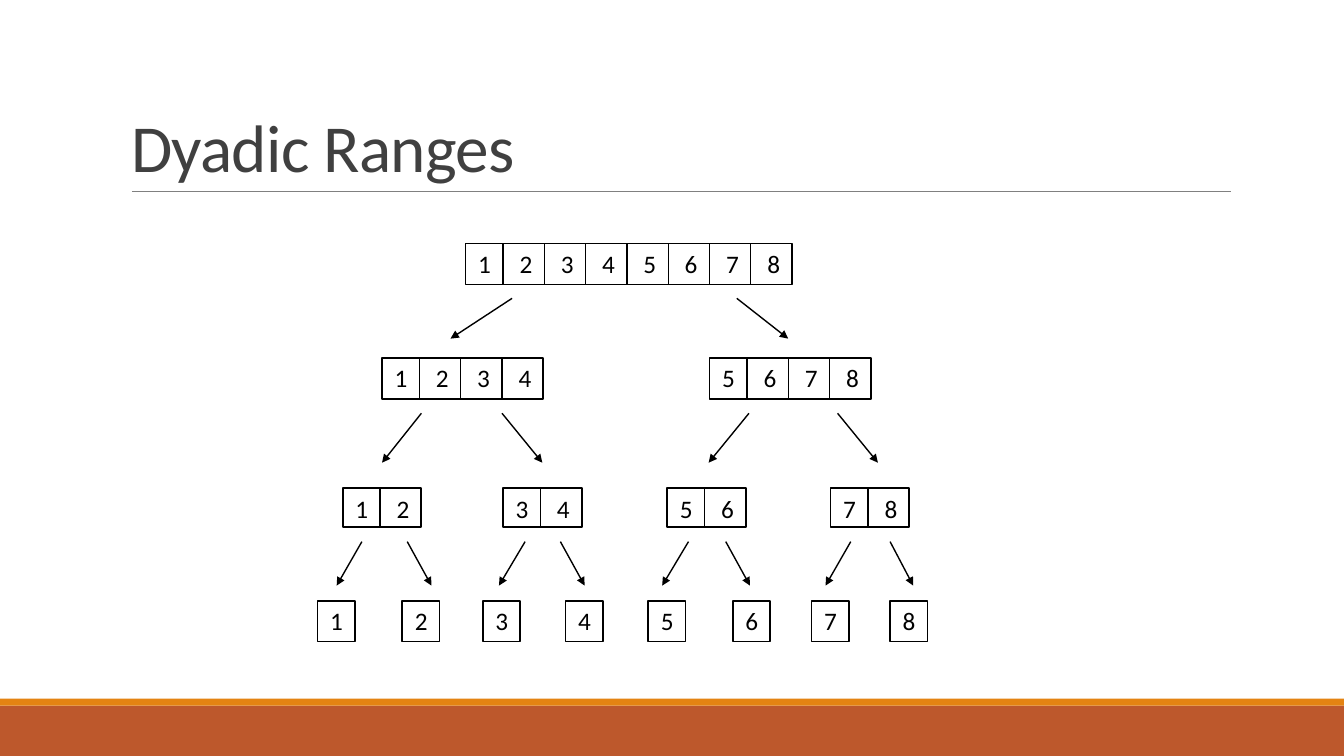
import lxml.etree
import pptx
import pptx.dml.color
import pptx.enum.shapes
import pptx.enum.text
import pptx.oxml.ns
import pptx.util

Pt = pptx.util.Pt
RGBColor = pptx.dml.color.RGBColor

BLACK = RGBColor(0x00, 0x00, 0x00)
WHITE = RGBColor(0xFF, 0xFF, 0xFF)
TITLE_GREY = RGBColor(0x40, 0x40, 0x40)
RULE_GREY = RGBColor(0x80, 0x80, 0x80)
RUST = RGBColor(0xBD, 0x58, 0x2C)
ORANGE = RGBColor(0xE4, 0x83, 0x12)
FONT = "Calibri"

FIRST_CELL = 26.7
CELL = 29.5

# Numbers per range, top, height, left edges of the ranges
LEVELS = [
    (8, 174, 29.2, [332.6]),
    (4, 255.6, 29.2, [272.9, 506.9]),
    (2, 348.5, 28.1, [244.8, 359.3, 476.6, 593.3]),
    (1, 429.1, 29.2, [226.8, 287.3, 344.9, 403.9, 463, 523.4, 579.6, 635.8]),
]

# Start y, end y, (start x, end x) of each arrow
ARROWS = [
    (213.1, 241.9, [(365.8, 321.8), (526.3, 563)]),
    (295.2, 330.5, [(301, 272.9), (358.6, 387.4), (535, 506.2), (598.3, 627.1)]),
    (386.9, 418.3, [(258.5, 240.5), (290.9, 308.2), (375.1, 356.4), (400.3, 417.6),
                    (491.8, 473), (518.4, 535.7), (607.7, 589.7), (635.8, 652.3)]),
]


def add_xml(parent, tag, **attributes):
    return lxml.etree.SubElement(parent, pptx.oxml.ns.qn(tag), attributes)


def add_line(shapes, x1, y1, x2, y2, color=BLACK, width=1, arrow=False):
    line = shapes.add_connector(pptx.enum.shapes.MSO_CONNECTOR.STRAIGHT,
                                Pt(x1), Pt(y1), Pt(x2), Pt(y2))
    line.line.color.rgb = color
    line.line.width = Pt(width)
    sp_pr = line._element.spPr
    if arrow:
        add_xml(sp_pr.find(pptx.oxml.ns.qn("a:ln")), "a:tailEnd", type="triangle")
    add_xml(sp_pr, "a:effectLst")


def add_rect(shapes, x, y, w, h, fill, line=None):
    sp = shapes.add_shape(pptx.enum.shapes.MSO_SHAPE.RECTANGLE,
                          Pt(x), Pt(y), Pt(w), Pt(h))
    sp.shadow.inherit = False
    sp.fill.solid()
    sp.fill.fore_color.rgb = fill
    if line is None:
        sp.line.fill.background()
    else:
        sp.line.color.rgb = line
        sp.line.width = Pt(1.25)
    return sp


def add_run(p, text, size, color):
    r = p.add_run()
    r.text = text
    r.font.name = FONT
    r.font.size = Pt(size)
    r.font.color.rgb = color
    return r


def set_tab_stops(p, positions):
    tabs = add_xml(p._p.get_or_add_pPr(), "a:tabLst")
    for position in positions:
        add_xml(tabs, "a:tab", pos=str(Pt(position)), algn="l")


def add_range(s, x, y, h, numbers):
    """Add a box of consecutive numbers, split into cells by dividers."""
    shapes = s.shapes.add_group_shape().shapes
    steps = [CELL * i for i in range(1, len(numbers))]
    width = FIRST_CELL + CELL * len(steps)
    tf = add_rect(shapes, x, y, width, h, WHITE, BLACK).text_frame
    tf.word_wrap = False
    tf.vertical_anchor = pptx.enum.text.MSO_ANCHOR.TOP
    tf.margin_left, tf.margin_top = Pt(9), Pt(3.6)
    tf.margin_right = tf.margin_bottom = 0
    p = tf.paragraphs[0]
    p.alignment = pptx.enum.text.PP_ALIGN.LEFT
    if steps:
        set_tab_stops(p, steps)
    add_run(p, "\t".join(str(n) for n in numbers), 18, BLACK)
    for step in steps:
        divider = x + FIRST_CELL + step - CELL
        add_line(shapes, divider, y, divider, y + h)


def add_title(s, text):
    sp = s.shapes.title
    sp.left, sp.top, sp.width, sp.height = Pt(86.4), Pt(22.3), Pt(792), Pt(114.5)
    tf = sp.text_frame
    tf.word_wrap = True
    tf.auto_size = pptx.enum.text.MSO_AUTO_SIZE.NONE
    tf.vertical_anchor = pptx.enum.text.MSO_ANCHOR.BOTTOM
    p = tf.paragraphs[0]
    p.alignment = pptx.enum.text.PP_ALIGN.LEFT
    p.line_spacing = 0.85
    r = add_run(p, text, 48, TITLE_GREY)
    r._r.get_or_add_rPr().set("spc", "-50")


def main():
    prs = pptx.Presentation()
    prs.slide_width, prs.slide_height = Pt(960), Pt(540)
    s = prs.slides.add_slide(prs.slide_layouts[5])

    add_rect(s.shapes, 0, 504, 960, 36, RUST)
    add_rect(s.shapes, 0, 499, 960, 5, ORANGE)
    add_line(s.shapes, 94.3, 136.8, 879, 136.8, RULE_GREY, 0.5)
    add_title(s, "Dyadic Ranges")

    for size, y, h, lefts in LEVELS:
        for i, x in enumerate(lefts):
            add_range(s, x, y, h, range(i * size + 1, (i + 1) * size + 1))
    for y1, y2, spans in ARROWS:
        for x1, x2 in spans:
            add_line(s.shapes, x1, y1, x2, y2, arrow=True)

    prs.save("out.pptx")


if __name__ == "__main__":
    main()
